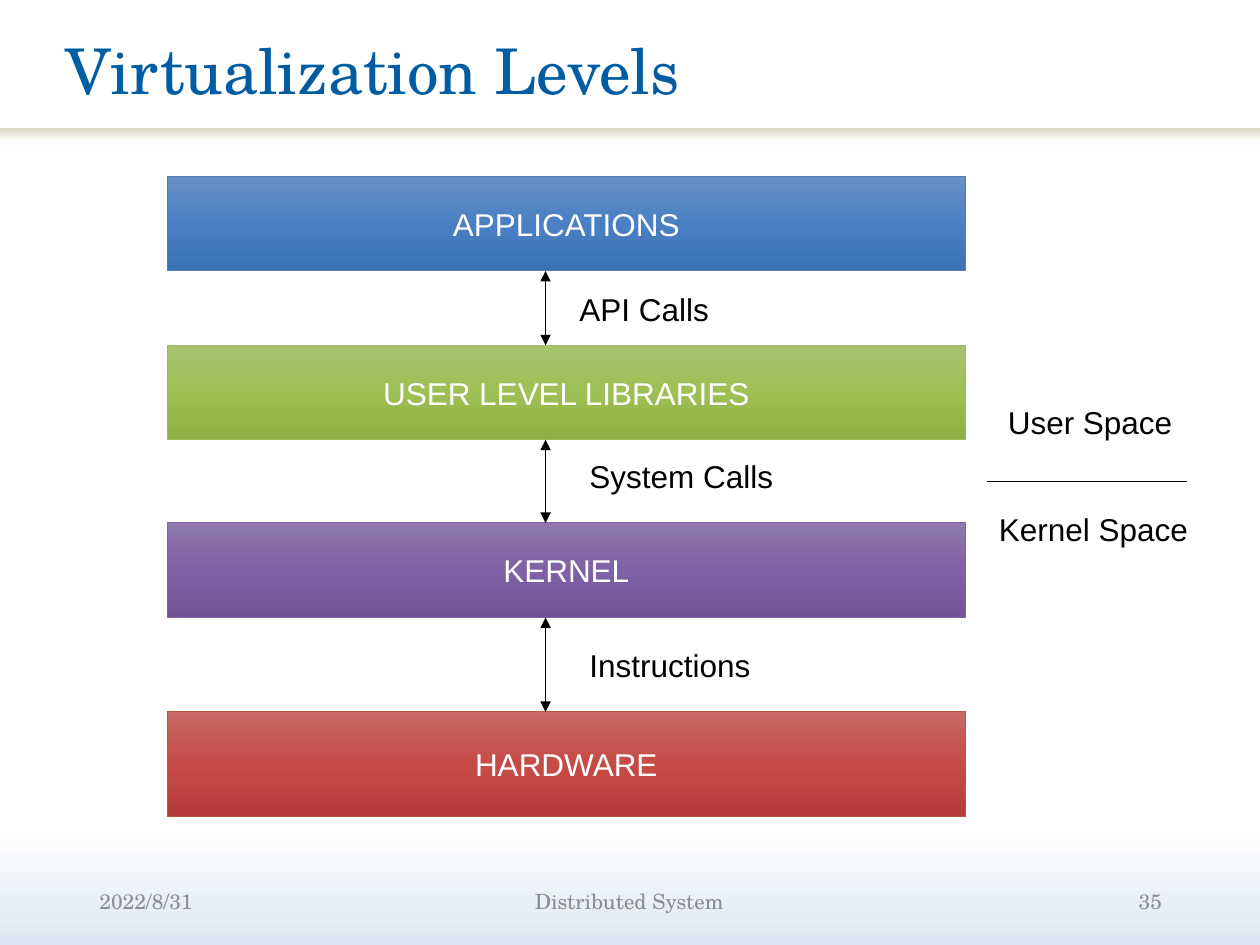
from lxml import etree
from pptx import Presentation
from pptx.dml.color import RGBColor
from pptx.enum.shapes import MSO_CONNECTOR as Connector, MSO_SHAPE as Shape
from pptx.enum.text import MSO_ANCHOR as Anchor, MSO_AUTO_SIZE as AutoSize, PP_ALIGN as Align
from pptx.oxml.ns import qn
from pptx.util import Inches, Pt

SERIF, SANS = "TeX Gyre Schola", "Arial"
hex_color = RGBColor.from_string


def paint_gradient(fill, element, stops, angle=270):
    """Fill with (percent, colour) stops; the angle runs counter-clockwise."""
    fill.gradient()
    fill.gradient_angle = angle
    stop_list = element.find(".//" + qn("a:gsLst"))
    for old_stop in list(stop_list):
        stop_list.remove(old_stop)
    for percent, color in stops:
        stop = etree.SubElement(stop_list, qn("a:gs"), pos=str(percent * 1000))
        etree.SubElement(stop, qn("a:srgbClr"), val=color)


def write_text(shape, text, font, size, color, align=Align.LEFT, **frame_format):
    frame = shape.text_frame
    for name, value in frame_format.items():
        setattr(frame, name, value)
    paragraph = frame.paragraphs[0]
    paragraph.text = text
    paragraph.alignment = align
    font_format = {"name": font, "size": Pt(size)}
    for name, value in font_format.items():
        setattr(paragraph.font, name, value)
    paragraph.font.color.rgb = hex_color(color)
    return paragraph


presentation = Presentation()
presentation.slide_width, presentation.slide_height = Inches(10), Inches(7.5)
slide = presentation.slides.add_slide(presentation.slide_layouts[5])
shapes = slide.shapes

# Background and the band under the title
paint_gradient(slide.background.fill, slide.background._cSld,
               [(0, "FFFFFF"), (88, "FFFFFF"), (100, "DCE6F2")])
band = shapes.add_shape(Shape.RECTANGLE, 0, Inches(1.02), Inches(10), Inches(0.17))
band.shadow.inherit = False
band.line.fill.background()
paint_gradient(band.fill, band._element,
               [(0, "FFFFFF"), (45, "FBFBFB"), (100, "DDD9C3")], angle=90)

# Title
title = shapes.title
title.left, title.top, title.width, title.height = Inches(0.42), 0, Inches(9.58), Inches(1.18)
heading = write_text(title, "Virtualization Levels", SERIF, 36, "005DA3",
                     vertical_anchor=Anchor.MIDDLE, word_wrap=True, auto_size=AutoSize.NONE)
heading.line_spacing = 0.9

# Footer
footers = [
    (0.69, 2.08, "2022/8/31", Align.LEFT),
    (2.76, 4.47, "Distributed System", Align.CENTER),
    (7.24, 2.08, "35", Align.RIGHT),
]
for left, width, text, align in footers:
    box = shapes.add_textbox(Inches(left), Inches(6.95), Inches(width), Inches(0.4))
    write_text(box, text, SERIF, 12, "8C8C8C", align,
               vertical_anchor=Anchor.MIDDLE, word_wrap=True)

# Layers: text, top, height, gradient colours, outline
layers = [
    ("APPLICATIONS", 1.4, 0.75, ("688FC5", "4A80C3", "3B72B3"), "4F81BD"),
    ("USER LEVEL LIBRARIES", 2.74, 0.75, ("A6C36F", "9DC054", "8DB045"), "9BBB59"),
    ("KERNEL", 4.15, 0.75, ("8E78AC", "8061A5", "715396"), "8064A2"),
    ("HARDWARE", 5.65, 0.83, ("C76967", "C64B47", "B63C39"), "C0504D"),
]
for text, top, height, colors, outline in layers:
    layer = shapes.add_shape(Shape.RECTANGLE, Inches(1.33), Inches(top),
                             Inches(6.33), Inches(height))
    layer.shadow.inherit = False
    paint_gradient(layer.fill, layer._element, zip((0, 50, 100), colors))
    layer.line.color.rgb = hex_color(outline)
    layer.line.width = Pt(0.5)
    write_text(layer, text, SANS, 18, "FFFFFF", Align.CENTER,
               vertical_anchor=Anchor.MIDDLE, word_wrap=False)

# Arrows between neighbouring layers, and the line between the two spaces
lines = [(4.33, upper[1] + upper[2], 4.33, lower[1], True)
         for upper, lower in zip(layers, layers[1:])]
lines.append((7.83, 3.82, 9.42, 3.82, False))
for *ends, has_arrows in lines:
    line = shapes.add_connector(Connector.STRAIGHT, *map(Inches, ends))
    line.line.color.rgb = hex_color("000000")
    line.line.width = Pt(0.75)
    etree.SubElement(line._element.spPr, qn("a:effectLst"))
    if has_arrows:
        for tag in ("a:headEnd", "a:tailEnd"):
            etree.SubElement(line.line._get_or_add_ln(), qn(tag), type="triangle")

# Labels
labels = [
    ("API Calls", 4.5, 2.25, 1.23),
    ("System Calls", 4.58, 3.58, 1.66),
    ("Instructions", 4.58, 5.08, 1.48),
    ("User Space", 7.9, 3.15, 1.51),
    ("Kernel Space", 7.83, 4, 1.7),
]
for text, left, top, width in labels:
    label = shapes.add_textbox(Inches(left), Inches(top), Inches(width), Inches(0.4))
    write_text(label, text, SANS, 18, "000000",
               word_wrap=False, auto_size=AutoSize.SHAPE_TO_FIT_TEXT)

presentation.save("out.pptx")
